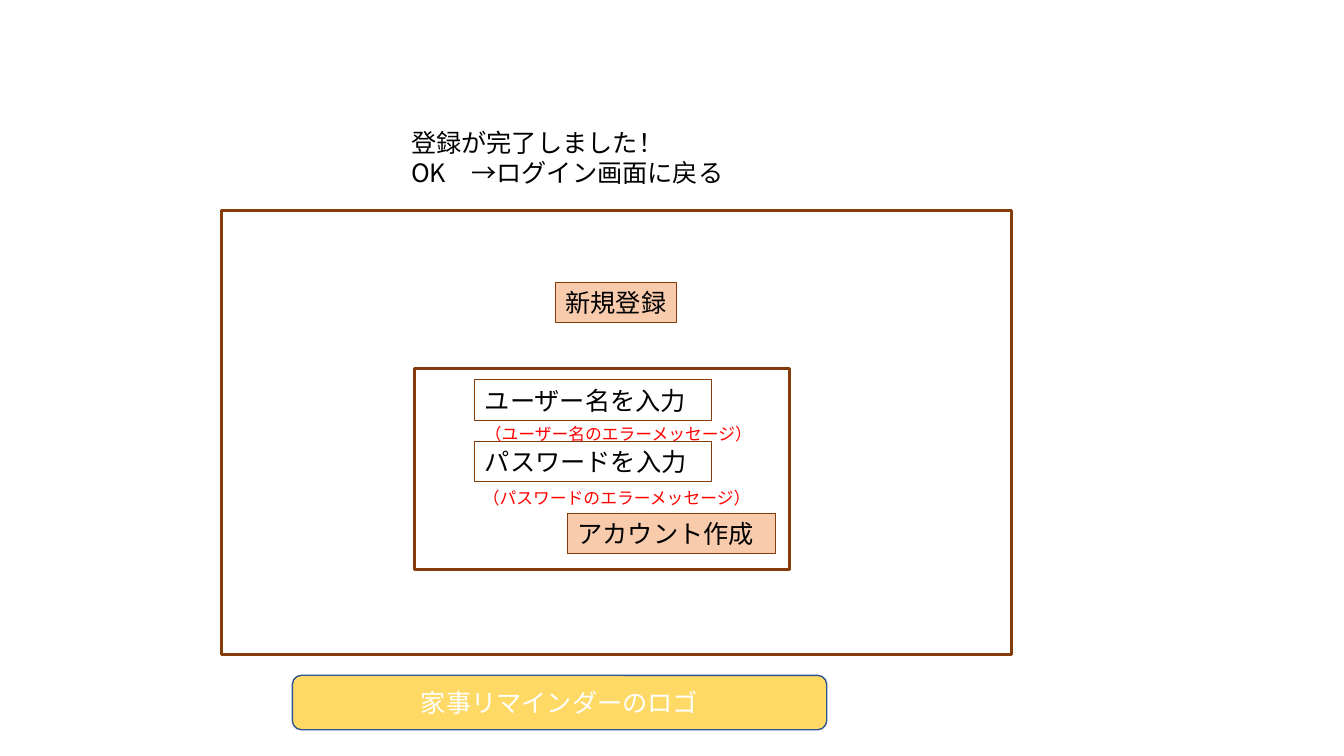
"""Builds the sign-up screen wireframe slide."""
import pptx
import pptx.util
import pptx.dml.color
import pptx.enum.shapes
import pptx.enum.text
import pptx.oxml.ns
from lxml import etree
from pptx.util import Inches

SHAPE = pptx.enum.shapes.MSO_SHAPE
ALIGN = pptx.enum.text.PP_ALIGN
ANCHOR = pptx.enum.text.MSO_ANCHOR
BROWN, PEACH, RED = "843C0B", "F8CBAD", "FF0000"


def rgb(value):
    return pptx.dml.color.RGBColor.from_string(value)


class Wireframe:
    font = "Noto Sans CJK JP"
    frame = {"word_wrap": True, "vertical_anchor": ANCHOR.TOP}

    def __init__(self, s):
        self.s = s

    def label(self, sp, lines, size=18, color="000000", align=ALIGN.LEFT, **frame):
        tf = sp.text_frame
        for name, value in {**self.frame, **frame}.items():
            setattr(tf, name, value)
        for i, line in enumerate(lines):
            p = tf.add_paragraph() if i else tf.paragraphs[0]
            p.alignment = align
            r = p.add_run()
            r.text = line
            style = {"name": self.font, "size": pptx.util.Pt(size)}
            for name, value in style.items():
                setattr(r.font, name, value)
            r.font.color.rgb = rgb(color)
            ea = etree.SubElement(r.font._element, pptx.oxml.ns.qn("a:ea"))
            ea.set("typeface", self.font)

    def box(self, at, line=BROWN, width=0.75, fill=None, kind=SHAPE.RECTANGLE):
        sp = self.s.shapes.add_shape(kind, *map(Inches, at))
        sp.shadow.inherit = False
        if fill:
            sp.fill.solid()
            sp.fill.fore_color.rgb = rgb(fill)
        else:
            sp.fill.background()
        sp.line.color.rgb = rgb(line)
        sp.line.width = pptx.util.Pt(width)
        return sp

    def field(self, at, caption, fill=None):
        self.label(self.box(at, fill=fill), [caption])

    def text(self, at, lines, **style):
        sp = self.s.shapes.add_textbox(*map(Inches, at))
        self.label(sp, lines, **style)


def main():
    prs = pptx.Presentation()
    prs.slide_width, prs.slide_height = Inches(13.33), Inches(7.5)
    screen = Wireframe(prs.slides.add_slide(prs.slide_layouts[6]))

    screen.box((2.2, 2.09, 7.83, 4.4), width=2.25)
    screen.field((5.51, 2.8, 1.2, 0.4), "新規登録", PEACH)
    screen.box((4.11, 3.66, 3.72, 1.99), width=2.25)
    for top, caption in ((3.77, "ユーザー名を入力"), (4.38, "パスワードを入力")):
        screen.field((4.71, top, 2.35, 0.4), caption)
    screen.field((5.63, 5.09, 2.06, 0.4), "アカウント作成", PEACH)

    screen.text((3.98, 1.21, 7.7, 0.71),
                ["登録が完了しました！　", "OK　→ログイン画面に戻る"])

    logo = screen.box((2.9, 6.7, 5.3, 0.54), "325491", 1, "FFD966",
                      SHAPE.ROUNDED_RECTANGLE)
    screen.label(logo, ["家事リマインダーのロゴ"], color="FFFFFF",
                 align=ALIGN.CENTER, vertical_anchor=ANCHOR.MIDDLE)

    errors = ((4.71, 4.15, "（ユーザー名のエラーメッセージ）"),
              (4.69, 4.79, "（パスワードのエラーメッセージ）"))
    for left, top, message in errors:
        screen.text((left, top, 3.9, 0.3), [message], size=12, color=RED)

    prs.save("out.pptx")


if __name__ == "__main__":
    main()
